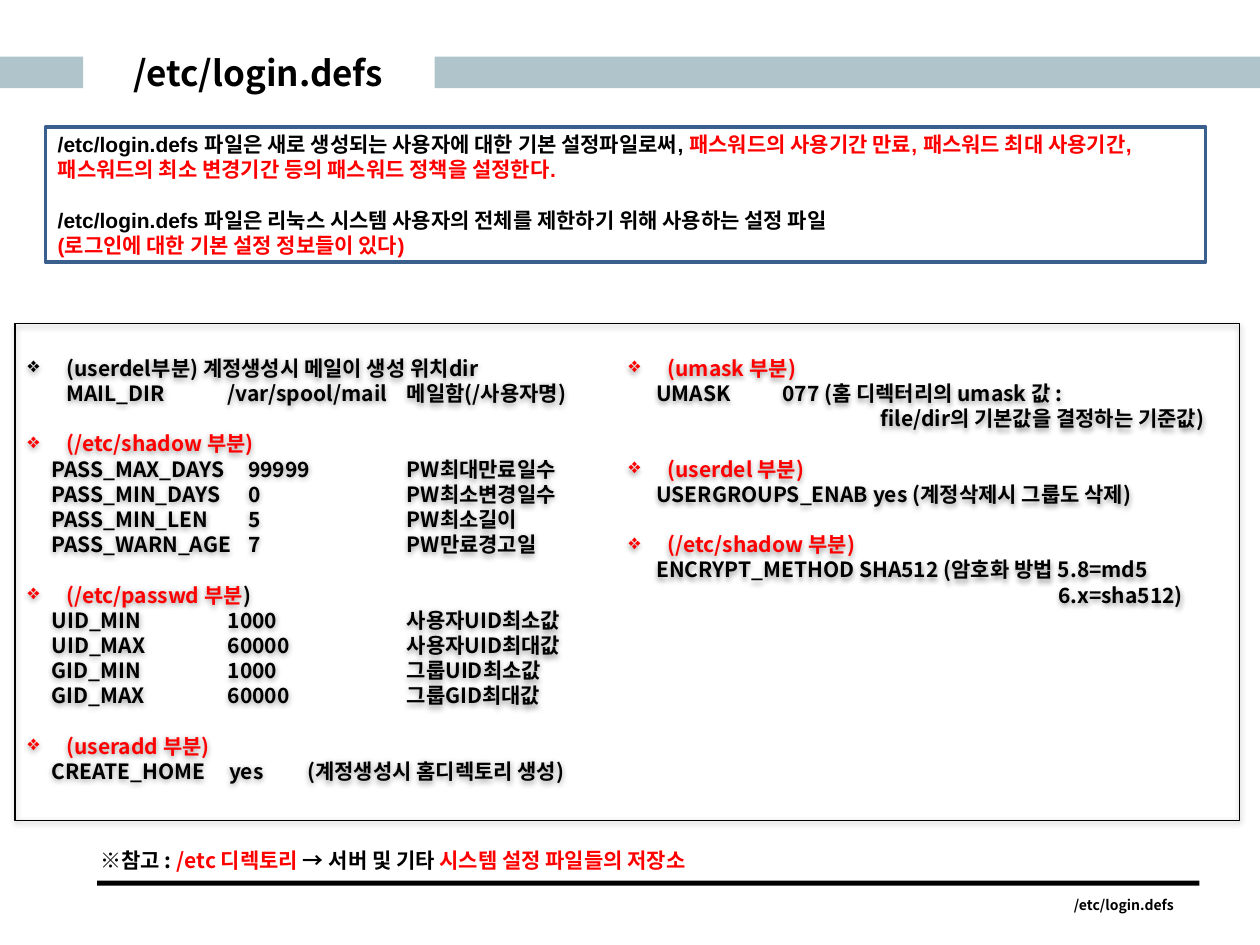
import pptx
import pptx.dml.color
import pptx.enum.shapes
import pptx.enum.text
import pptx.oxml
import pptx.oxml.ns
import pptx.util
from pptx.util import Inches

COLORS = {"band": "AFC5CB", "ink": "000000", "accent": "FF0000", "border": "3A5F8C"}
FONT = "Noto Sans CJK KR"
LINE = 14.4  # height of a text line in points
ALIGN = pptx.enum.text.PP_ALIGN
ANCHOR = pptx.enum.text.MSO_ANCHOR

INTRO = [
    [("/etc/login.defs 파일은 새로 생성되는 사용자에 대한 기본 설정파일로써, ", "ink"),
     ("패스워드의 사용기간 만료, 패스워드 최대 사용기간, 패스워드의 최소 변경기간 등의 패스워드 정책을 설정한다.", "accent")],
    [("/etc/login.defs 파일은 리눅스 시스템 사용자의 전체를 제한하기 위해 사용하는 설정 파일", "ink")],
    [("(로그인에 대한 기본 설정 정보들이 있다)", "accent")],
]
# Each group: heading runs, tab stops in inches, rows
LEFT_GROUPS = [
    ([("(userdel부분) 계정생성시 메일이 생성 위치dir", "ink")], (0.31, 1.59, 3.01),
     ["MAIL_DIR\t/var/spool/mail\t메일함(/사용자명)"]),
    ([("(/etc/shadow 부분)", "accent")], (0.19, 1.75, 3.01),
     ["PASS_MAX_DAYS\t99999\tPW최대만료일수",
      "PASS_MIN_DAYS\t0\tPW최소변경일수",
      "PASS_MIN_LEN\t5\tPW최소길이",
      "PASS_WARN_AGE\t7\tPW만료경고일"]),
    ([("(/etc/passwd 부분", "accent"), (")", "ink")], (0.19, 1.59, 3.01),
     ["UID_MIN\t1000\t사용자UID최소값",
      "UID_MAX\t60000\t사용자UID최대값",
      "GID_MIN\t1000\t그룹UID최소값",
      "GID_MAX\t60000\t그룹GID최대값"]),
    ([("(useradd 부분)", "accent")], (0.19, 1.6, 2.22),
     ["CREATE_HOME\tyes\t(계정생성시 홈디렉토리 생성)"]),
]
RIGHT_GROUPS = [
    ([("(umask 부분)", "accent")], (0.22, 1.22, 2.0),
     ["UMASK\t077 (홈 디렉터리의 umask 값 :", "\t\tfile/dir의 기본값을 결정하는 기준값)"]),
    ([("(userdel 부분)", "accent")], (0.22,),
     ["USERGROUPS_ENAB yes (계정삭제시 그룹도 삭제)"]),
    ([("(/etc/shadow 부분)", "accent")], (0.22, 3.41),
     ["ENCRYPT_METHOD SHA512 (암호화 방법 5.8=md5", "\t6.x=sha512)"]),
]


def rgb(name):
    return pptx.dml.color.RGBColor.from_string(COLORS[name])


def add_xml(parent, tag, **attributes):
    child = pptx.oxml.ns.qn(tag)
    element = parent.makeelement(child, attributes)
    parent.append(element)
    return element


def write(frame, runs, size=12, font=FONT, align=ALIGN.LEFT, line=None, before=0):
    """Write runs of (text, colour) as the next paragraph of the frame."""
    paragraph = frame.paragraphs[0]
    if paragraph.runs:
        paragraph = frame.add_paragraph()
    paragraph.alignment = align
    paragraph.space_before = pptx.util.Pt(before)
    if line:
        paragraph.line_spacing = pptx.util.Pt(line)
    for text, color in runs:
        run = paragraph.add_run()
        run.text = text
        run.font.size = pptx.util.Pt(size)
        run.font.bold = True
        run.font.name = font
        run.font.color.rgb = rgb(color)
        add_xml(run.font._element, "a:ea", typeface=FONT)
    return paragraph


def add_box(slide, left, top, width, height, fill=None, line=None, weight=0.75):
    box = slide.shapes.add_shape(
        pptx.enum.shapes.MSO_SHAPE.RECTANGLE,
        Inches(left), Inches(top), Inches(width), Inches(height))
    box.shadow.inherit = False
    if fill:
        box.fill.solid()
        box.fill.fore_color.rgb = rgb(fill)
    else:
        box.fill.background()
    if line:
        box.line.color.rgb = rgb(line)
        box.line.width = pptx.util.Pt(weight)
    else:
        box.line.fill.background()
    return box


def add_label(slide, left, top, width, height, runs, wrap=True, **text_format):
    label = slide.shapes.add_textbox(
        Inches(left), Inches(top), Inches(width), Inches(height))
    label.text_frame.word_wrap = wrap
    label.text_frame.vertical_anchor = ANCHOR.MIDDLE
    write(label.text_frame, runs, **text_format)


def add_shadow(shape):
    shape.shadow.inherit = False
    effects = shape._element.spPr.find(pptx.oxml.ns.qn("a:effectLst"))
    shadow = add_xml(effects, "a:outerShdw", blurRad="39370", dist="20320",
                     dir="5400000", rotWithShape="0")
    color = add_xml(shadow, "a:srgbClr", val=COLORS["ink"])
    add_xml(color, "a:alpha", val="38000")


def add_bullet(paragraph):
    properties = paragraph._p.get_or_add_pPr()
    properties.set("marL", str(Inches(0.31)))
    properties.set("indent", str(-Inches(0.31)))
    add_xml(properties, "a:buChar", char="❖")


def add_tabs(paragraph, stops):
    tabs = add_xml(paragraph._p.get_or_add_pPr(), "a:tabLst")
    for stop in stops:
        add_xml(tabs, "a:tab", pos=str(Inches(stop)), algn="l")


def fill_column(shape, groups):
    frame = shape.text_frame
    frame.word_wrap = True
    frame.vertical_anchor = ANCHOR.TOP
    frame.margin_top = Inches(0.25)
    for index, (heading, stops, rows) in enumerate(groups):
        add_bullet(write(frame, heading, line=LINE, before=LINE if index else 0))
        for row in rows:
            add_tabs(write(frame, [("\t" + row, "ink")], line=LINE), stops)


def add_header(slide, left, top, width):
    add_box(slide, left, top + 0.09, 0.66, 0.25, fill="band")
    add_box(slide, left + 3.45, top + 0.09, width - 3.45, 0.25, fill="band")
    add_label(slide, left + 0.75, top, 2.6, 0.43, [("/etc/login.defs", "ink")],
              size=20, align=ALIGN.CENTER)


def add_intro(slide, left, top, width, height):
    frame = add_box(slide, left, top, width, height, line="border", weight=2).text_frame
    frame.word_wrap = True
    frame.vertical_anchor = ANCHOR.MIDDLE
    for index, runs in enumerate(INTRO):
        write(frame, runs, font="Arial", line=LINE, before=LINE if index == 1 else 0)


def add_settings(slide, left, top, width, height):
    half = width / 2 - 0.09
    frame = add_box(slide, left, top, width, height, line="ink")
    frame.text_frame.margin_right = Inches(width - half)
    right_column = slide.shapes.add_textbox(
        Inches(left + half), Inches(top), Inches(width - half), Inches(height))
    for column, groups in ((frame, LEFT_GROUPS), (right_column, RIGHT_GROUPS)):
        add_shadow(column)
        fill_column(column, groups)


def add_footer(slide, left, top):
    add_label(slide, left, top, 5.39, 0.3,
              [("※참고 : ", "ink"), ("/etc 디렉토리 ", "accent"),
               ("→ 서버 및 기타 ", "ink"), ("시스템 설정 파일들의 저장소", "accent")],
              wrap=False, line=LINE)
    add_box(slide, left + 0.07, top + 0.31, 8.75, 0.04, fill="ink")
    add_label(slide, left + 7.61, top + 0.38, 1.22, 0.24, [("/etc/login.defs", "ink")],
              size=8, align=ALIGN.CENTER)


def main():
    deck = pptx.Presentation()
    deck.slide_width, deck.slide_height = Inches(10), Inches(7.5)
    slide = deck.slides.add_slide(deck.slide_layouts[6])
    add_header(slide, 0, 0.36, 10)
    add_settings(slide, 0.12, 2.57, 9.72, 3.94)
    add_intro(slide, 0.36, 1.01, 9.21, 1.07)
    add_footer(slide, 0.7, 6.68)
    deck.save("out.pptx")


if __name__ == "__main__":
    main()
